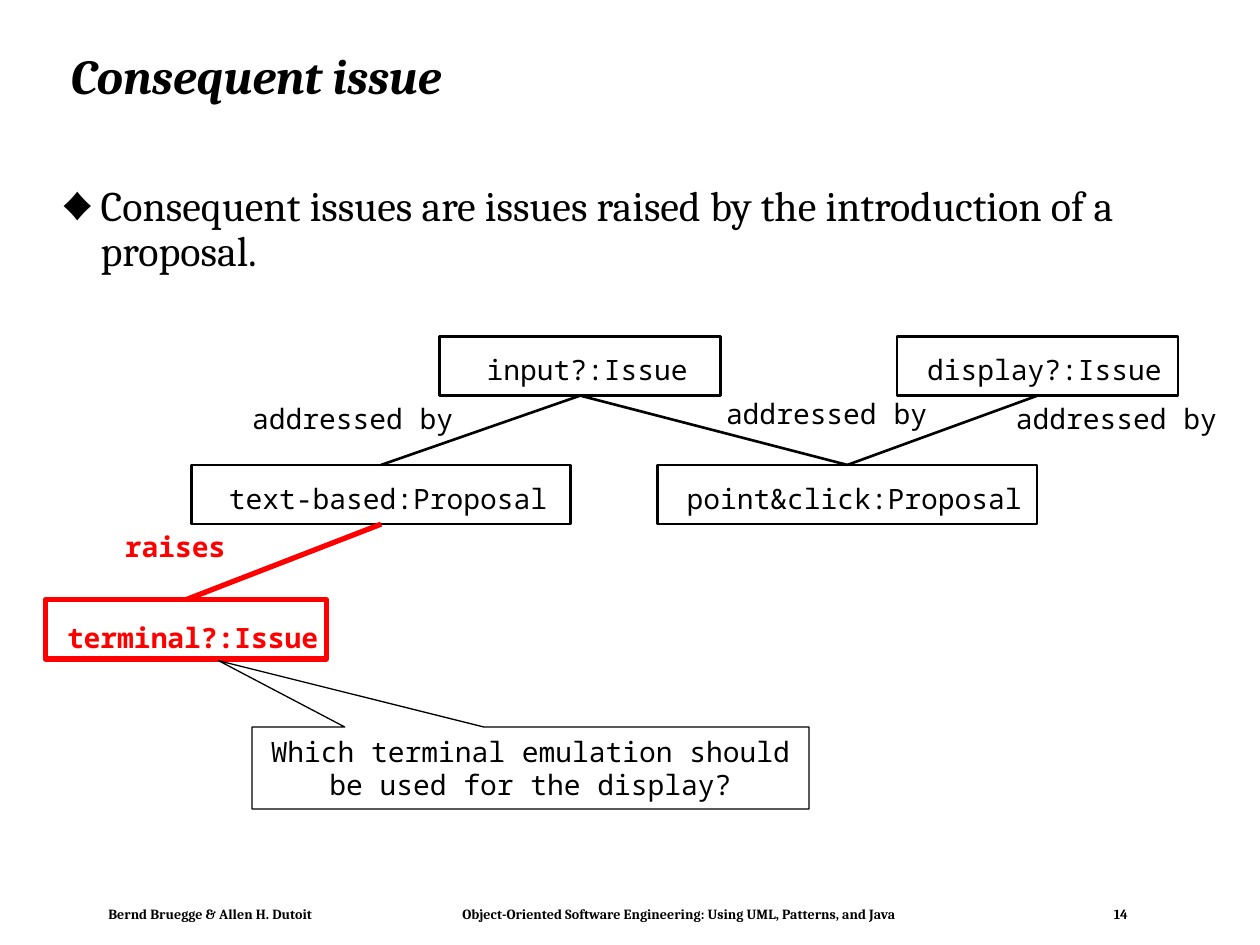
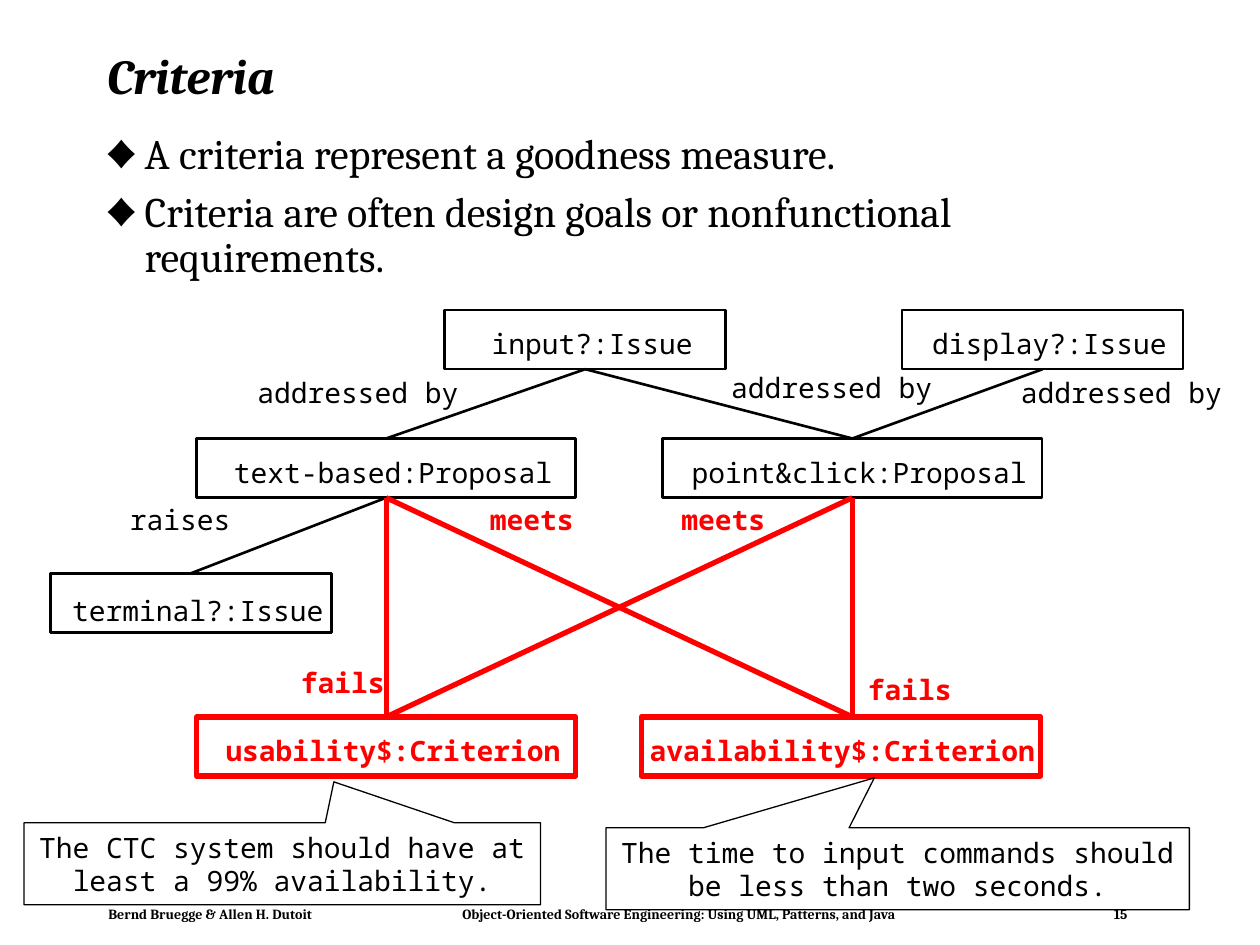
"""Build two slides on issue models: consequent issues and criteria."""
from dataclasses import dataclass

from lxml.etree import SubElement as sub_el
from pptx import Presentation
from pptx.dml.color import RGBColor as Rgb
from pptx.enum.shapes import MSO_CONNECTOR as Conn, MSO_SHAPE as Kind
from pptx.enum.text import MSO_ANCHOR as Anchor, MSO_AUTO_SIZE as Fit, PP_ALIGN as Align
from pptx.oxml.ns import qn
from pptx.util import Inches, Pt


@dataclass(frozen=True)
class Theme:
    ink: str = "000000"
    hot: str = "FF0000"
    paper: str = "FFFFFF"
    serif: str = "Cambria"
    mono: str = "Noto Sans Mono"
    title: int = 28
    body: int = 24
    code: int = 16
    foot: int = 8
    thin: float = 0.75
    line: float = 1.5
    thick: float = 3


@dataclass(frozen=True)
class Area:
    x: float
    y: float
    w: float
    h: float


@dataclass(frozen=True)
class Node:
    text: str
    x: float
    y: float
    w: float
    hot: bool = False
    left: float = 0.11
    top: float = 0.06


@dataclass(frozen=True)
class Link:
    start: str
    end: str
    hot: bool = False
    shift: float = 0


@dataclass(frozen=True)
class Label:
    text: str
    mid: float
    y: float
    hot: bool = False


@dataclass(frozen=True)
class Note:
    text: str
    area: Area
    tip: tuple[float, float]


@dataclass(frozen=True)
class Page:
    number: int
    title: str
    head: Area
    points: tuple[str, ...]
    body: Area
    dx: float
    dy: float
    nodes: tuple[Node, ...]
    links: tuple[Link, ...]
    labels: tuple[Label, ...]
    notes: tuple[Note, ...]


THEME = Theme()
NODE_H = 0.47
CHAR_W = 0.14
FOOT = ("Bernd Bruegge & Allen H. Dutoit",
        "Object-Oriented Software Engineering: Using UML, Patterns, and Java")
FOOT_TABS = (2.81, 7.98)
INPUT, SHOW = "input?:Issue", "display?:Issue"
TEXT, POINT = "text-based:Proposal", "point&click:Proposal"
TERM = "terminal?:Issue"
USE, AVAIL = "usability$:Criterion", "availability$:Criterion"

NODES = (Node(INPUT, 3.49, 2.67, 2.23), Node(SHOW, 7.12, 2.67, 2.23),
         Node(TEXT, 1.52, 3.69, 3.01), Node(POINT, 5.22, 3.69, 3.01))
LINKS = (Link(INPUT, TEXT), Link(INPUT, POINT), Link(SHOW, POINT))
LABELS = tuple(Label("addressed by", mid, y)
               for mid, y in ((2.8, 3.19), (6.56, 3.15), (8.86, 3.19)))


def raised(hot: bool) -> tuple[Node, Link, Label]:
    return (Node(TERM, 0.36, 4.76, 2.23, hot, top=0.12), Link(TEXT, TERM, hot),
            Label("raises", 1.39, 4.2, hot))


def make_pages() -> tuple[Page, ...]:
    node, link, label = raised(True)
    first = Page(
        14, "Consequent issue", Area(0.46, 0.24, 8.92, 0.77),
        ("Consequent issues are issues raised by the introduction of a proposal.",),
        Area(0.39, 1.42, 9.03, 1.02), 0, 0,
        NODES + (node,), LINKS + (link,), LABELS + (label,),
        (Note("Which terminal emulation should be used for the display?",
              Area(2, 5.77, 4.42, 0.65), (-0.56, -1.31)),))
    node, link, label = raised(False)
    goals = (Node(USE, 1.52, 5.9, 3.01, True),
             Node(AVAIL, 5.05, 5.9, 3.17, True, left=0.02))
    tests = tuple(Link(start, end, True, shift) for start in (TEXT, POINT)
                  for end, shift in ((USE, 0), (AVAIL, 0.09)))
    marks = (Label("meets", 4.18, 4.2, True), Label("meets", 5.7, 4.2, True),
             Label("fails", 2.68, 5.49, True), Label("fails", 7.18, 5.55, True))
    second = Page(
        15, "Criteria", Area(0.75, 0.21, 8.5, 0.83),
        ("A criteria represent a goodness measure.",
         "Criteria are often design goals or nonfunctional requirements."),
        Area(0.74, 1.01, 8.5, 1.56), 0.04, -0.21,
        NODES + (node,) + goals, LINKS + (link,) + tests, LABELS + (label,) + marks,
        (Note("The CTC system should have at least a 99% availability.",
              Area(0.19, 6.53, 4.1, 0.65), (0.1, -1)),
         Note("The time to input commands should be less than two seconds.",
              Area(4.81, 6.57, 4.63, 0.65), (-0.04, -1.11))))
    return first, second


def place(area: Area) -> tuple[int, ...]:
    return tuple(Inches(v) for v in (area.x, area.y, area.w, area.h))


def tone(hot: bool) -> str:
    return THEME.hot if hot else THEME.ink


def style(frame, font: str, size: float, color: str = THEME.ink,
          bold: bool = False, slant: bool = False) -> None:
    for para in frame.paragraphs:
        for run in para.runs:
            run.font.name, run.font.size = font, Pt(size)
            run.font.bold, run.font.italic = bold, slant
            run.font.color.rgb = Rgb.from_string(color)


def set_code(frame, text: str, hot: bool, wrap: bool) -> None:
    frame.text = text
    frame.word_wrap = wrap
    frame.paragraphs[0].alignment = Align.CENTER
    style(frame, THEME.mono, THEME.code, tone(hot), hot)


def pad(frame, left: float, top: float, right: float, low: float) -> None:
    frame.margin_left, frame.margin_top = Inches(left), Inches(top)
    frame.margin_right, frame.margin_bottom = Inches(right), Inches(low)


def stroke(line, color: str, width: float) -> None:
    line.color.rgb = Rgb.from_string(color)
    line.width = Pt(width)


def add_title(slide, page: Page) -> None:
    title = slide.shapes.title
    title.left, title.top, title.width, title.height = place(page.head)
    frame = title.text_frame
    frame.text = page.title
    frame.auto_size = Fit.NONE
    frame.vertical_anchor = Anchor.MIDDLE
    frame.paragraphs[0].alignment = Align.LEFT
    frame.paragraphs[0].line_spacing = 0.9
    style(frame, THEME.serif, THEME.title, bold=True, slant=True)


def add_points(slide, page: Page) -> None:
    frame = slide.shapes.add_textbox(*place(page.body)).text_frame
    frame.text = "\n".join(page.points)
    frame.word_wrap = True
    for i, para in enumerate(frame.paragraphs):
        props = para._p.get_or_add_pPr()
        props.set("marL", str(Inches(0.31)))
        props.set("indent", str(Inches(-0.31)))
        sub_el(sub_el(props, qn("a:buClr")), qn("a:srgbClr"), val=THEME.ink)
        sub_el(props, qn("a:buSzPct"), val="75000")
        sub_el(props, qn("a:buFont"), typeface=THEME.serif)
        sub_el(props, qn("a:buChar"), char="♦")
        para.line_spacing = 0.9
        if i:
            para.space_before = Pt(7)
    style(frame, THEME.serif, THEME.body)


def add_foot(slide, page: Page) -> None:
    frame = slide.shapes.add_textbox(*place(Area(0.78, 7.15, 8.27, 0.21))).text_frame
    frame.text = "\t".join((*FOOT, str(page.number)))
    frame.word_wrap = True
    pad(frame, 0.08, 0.04, 0.08, 0.04)
    tabs = sub_el(frame.paragraphs[0]._p.get_or_add_pPr(), qn("a:tabLst"))
    for stop in FOOT_TABS:
        sub_el(tabs, qn("a:tab"), pos=str(Inches(stop)), algn="l")
    style(frame, THEME.serif, THEME.foot, bold=True)


def add_node(slide, node: Node, page: Page):
    area = Area(node.x + page.dx, node.y + page.dy, node.w, NODE_H)
    box = slide.shapes.add_shape(Kind.RECTANGLE, *place(area))
    box.shadow.inherit = False
    box.fill.background()
    stroke(box.line, tone(node.hot), THEME.thick if node.hot else THEME.line)
    frame = box.text_frame
    pad(frame, node.left, node.top, 0, 0)
    frame.vertical_anchor = Anchor.MIDDLE
    set_code(frame, node.text, node.hot, False)
    return box


def add_link(slide, link: Link, boxes: dict) -> None:
    start, end = boxes[link.start], boxes[link.end]
    wire = slide.shapes.add_connector(
        Conn.STRAIGHT, start.left + start.width // 2, start.top + start.height,
        end.left + end.width // 2 + Inches(link.shift), end.top)
    wire.begin_connect(start, 2)
    if not link.shift:
        wire.end_connect(end, 0)
    stroke(wire.line, tone(link.hot), THEME.thick if link.hot else THEME.line)
    sub_el(wire._element.spPr, qn("a:effectLst"))


def add_label(slide, label: Label, page: Page) -> None:
    width = len(label.text) * CHAR_W
    area = Area(label.mid - width / 2 + page.dx, label.y + page.dy, width, 0.27)
    frame = slide.shapes.add_textbox(*place(area)).text_frame
    pad(frame, 0, 0, 0, 0)
    set_code(frame, label.text, label.hot, False)


def add_note(slide, note: Note) -> None:
    box = slide.shapes.add_shape(Kind.RECTANGULAR_CALLOUT, *place(note.area))
    box.shadow.inherit = False
    box.adjustments[0], box.adjustments[1] = note.tip
    box.fill.solid()
    box.fill.fore_color.rgb = Rgb.from_string(THEME.paper)
    stroke(box.line, THEME.ink, THEME.thin)
    box.text_frame.vertical_anchor = Anchor.MIDDLE
    set_code(box.text_frame, note.text, False, True)


def add_page(deck, page: Page) -> None:
    slide = deck.slides.add_slide(deck.slide_layouts.get_by_name("Title Only"))
    add_title(slide, page)
    add_foot(slide, page)
    add_points(slide, page)
    boxes = {node.text: add_node(slide, node, page) for node in page.nodes}
    for link in page.links:
        add_link(slide, link, boxes)
    for label in page.labels:
        add_label(slide, label, page)
    for note in page.notes:
        add_note(slide, note)


def main() -> None:
    deck = Presentation()
    deck.slide_width, deck.slide_height = Inches(10), Inches(7.5)
    for page in make_pages():
        add_page(deck, page)
    deck.save("out.pptx")


if __name__ == "__main__":
    main()
